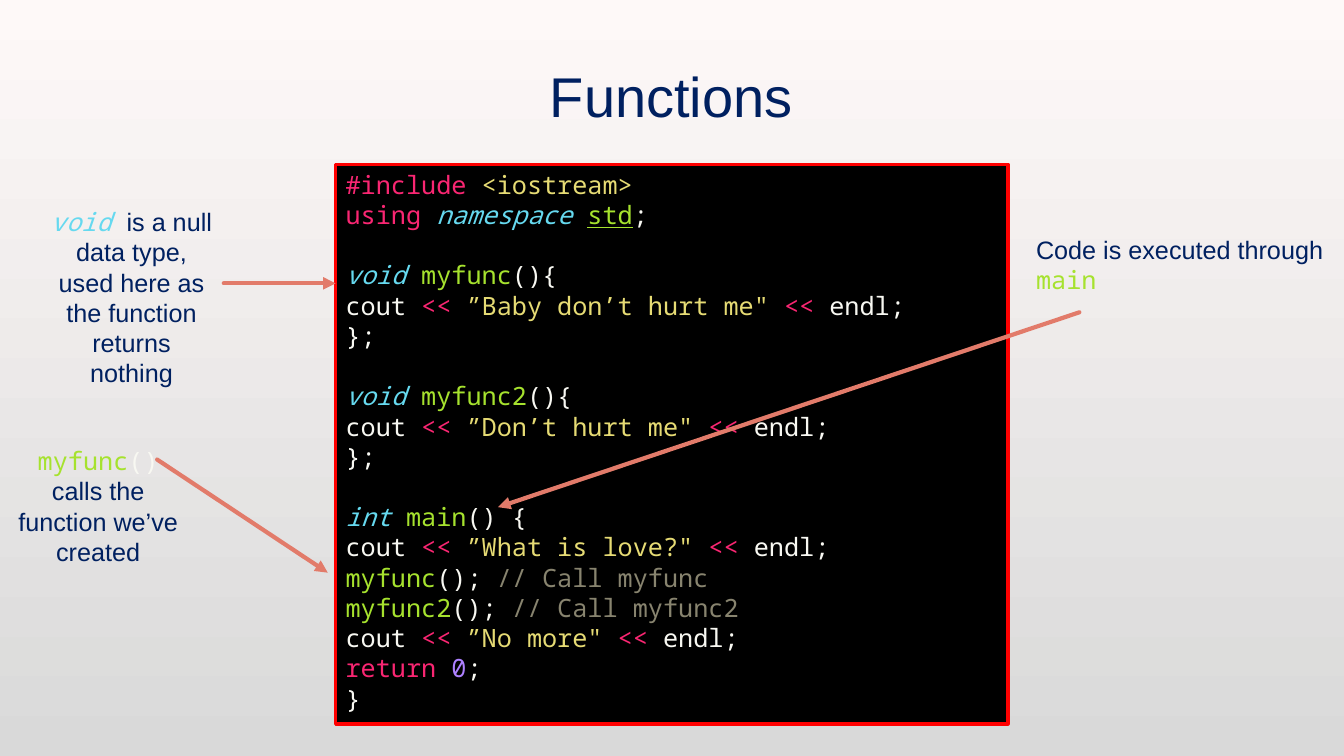
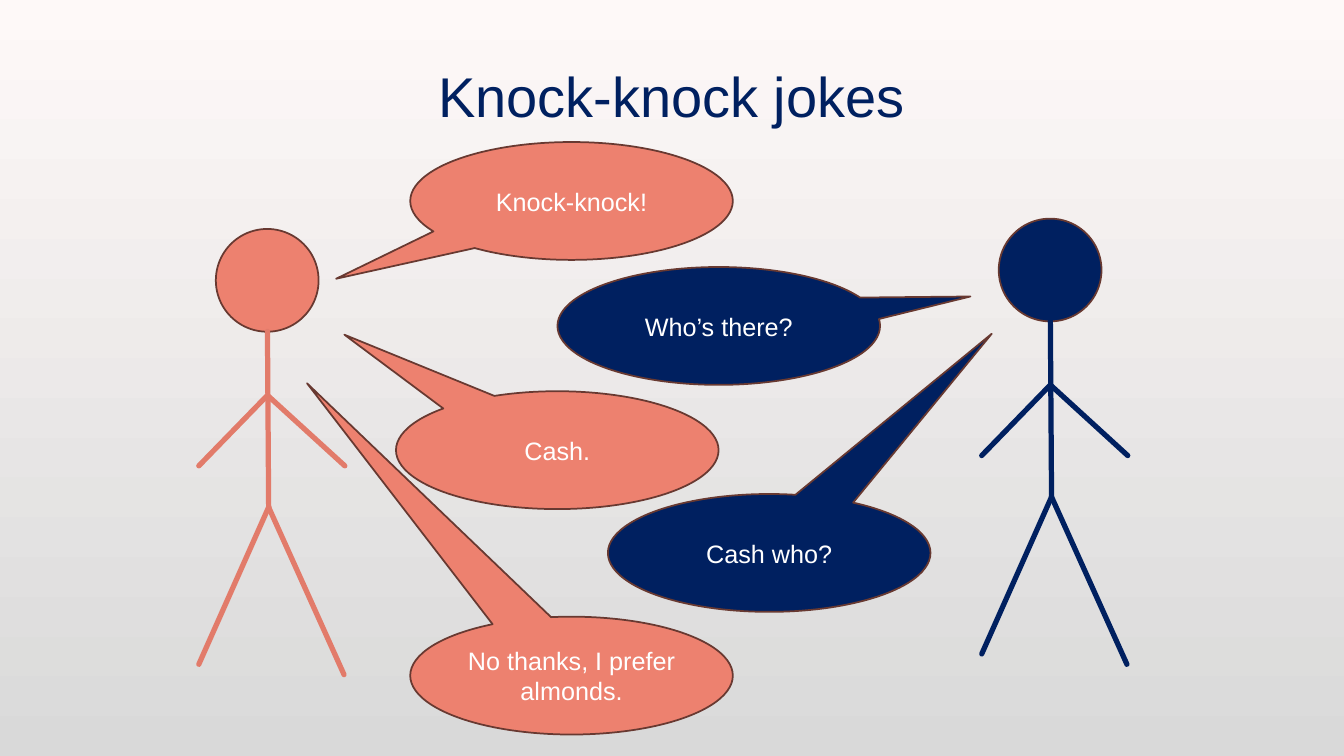
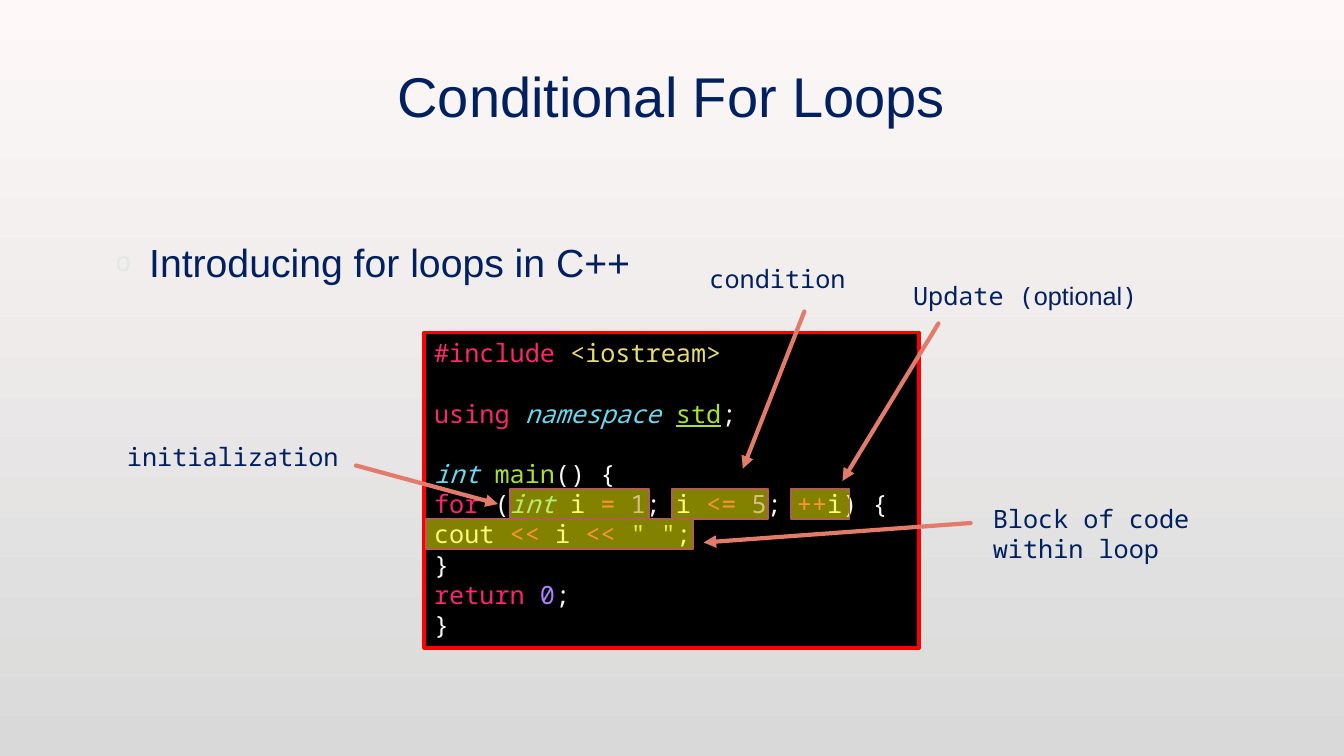
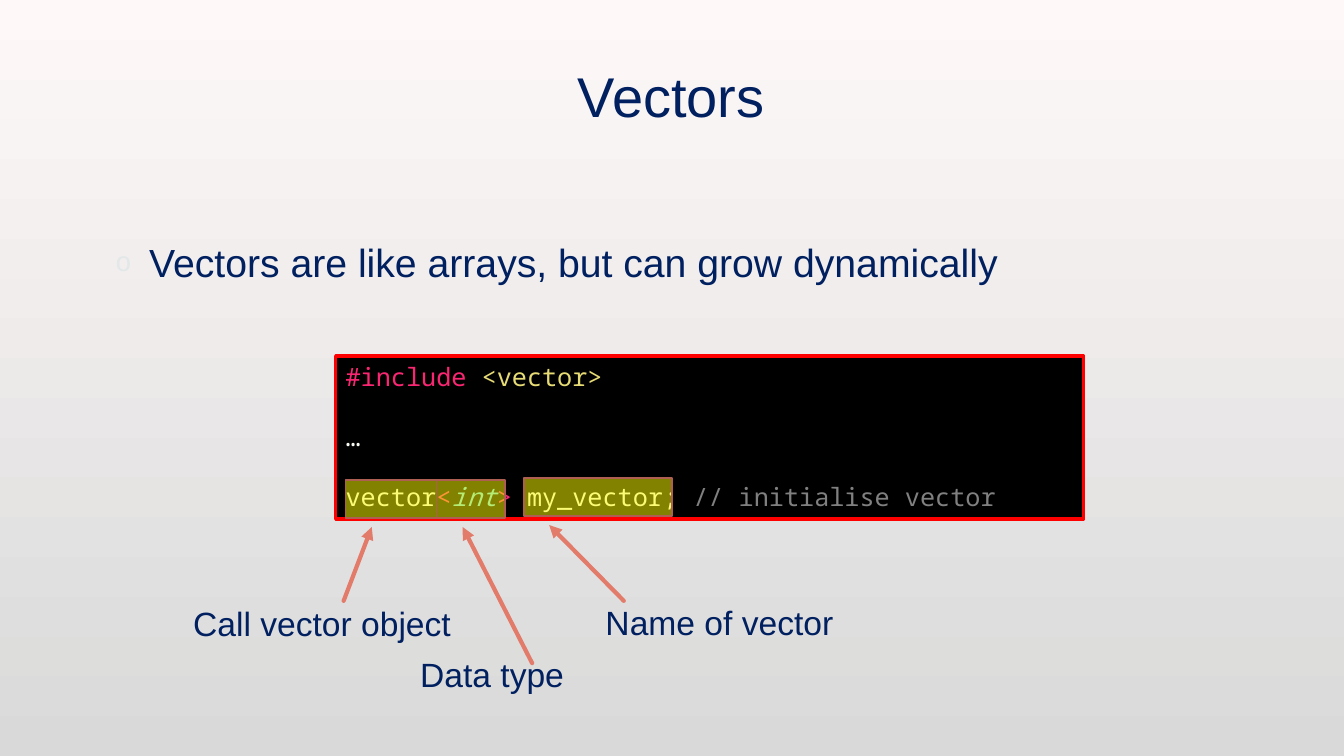
from dataclasses import dataclass
from functools import partial
from typing import NamedTuple, Sequence

from lxml import etree
from pptx import Presentation
from pptx.dml.color import RGBColor
from pptx.enum.shapes import MSO_CONNECTOR, MSO_SHAPE
from pptx.enum.text import MSO_ANCHOR, PP_ALIGN
from pptx.oxml import parse_xml
from pptx.oxml.ns import nsdecls, qn
from pptx.presentation import Presentation as Deck
from pptx.shapes.autoshape import Shape
from pptx.slide import Slide
from pptx.util import Cm, Pt

LEFT, CENTER = PP_ALIGN.LEFT, PP_ALIGN.CENTER
TOP, MIDDLE = MSO_ANCHOR.TOP, MSO_ANCHOR.MIDDLE
RECTANGLE, OVAL = MSO_SHAPE.RECTANGLE, MSO_SHAPE.OVAL
SPEECH_BUBBLE = MSO_SHAPE.OVAL_CALLOUT
STRAIGHT = MSO_CONNECTOR.STRAIGHT

BACKDROP_TOP = RGBColor(0xFE, 0xF9, 0xF8)
BACKDROP_BOTTOM = RGBColor(0xD9, 0xD9, 0xD9)
NAVY = RGBColor(0x00, 0x20, 0x60)
CORAL = RGBColor(0xED, 0x81, 0x6F)
ARROW_CORAL = RGBColor(0xE2, 0x7B, 0x6A)
BROWN = RGBColor(0x68, 0x39, 0x31)
RUST = RGBColor(0xAF, 0x5F, 0x52)
YELLOW = RGBColor(0xFF, 0xFF, 0x00)
RED = RGBColor(0xFF, 0x00, 0x00)
BLACK = RGBColor(0x00, 0x00, 0x00)
WHITE = RGBColor(0xFF, 0xFF, 0xFF)
BULLET_GRAY = RGBColor(0xE2, 0xE7, 0xE8)
CODE_WHITE = RGBColor(0xF8, 0xF8, 0xF2)
CODE_PINK = RGBColor(0xF9, 0x26, 0x72)
CODE_YELLOW = RGBColor(0xE6, 0xDB, 0x74)
CODE_CYAN = RGBColor(0x66, 0xD9, 0xEF)
CODE_GREEN = RGBColor(0xA6, 0xE2, 0x2E)
CODE_PURPLE = RGBColor(0xAE, 0x81, 0xFF)
CODE_OLIVE = RGBColor(0x88, 0x84, 0x6F)
CODE_GRAY = RGBColor(0x80, 0x80, 0x80)

SANS, MONO = "Arial", "Noto Sans Mono"
CODE_LINE_PT = 21.5


@dataclass(frozen=True)
class Run:
    text: str
    color: RGBColor = NAVY
    font: str = SANS
    size: int = 18
    italic: bool = False
    underline: bool = False
    raised: bool = False


class Line(NamedTuple):
    """A paragraph, with one empty line's space above it if gap is set."""
    runs: Sequence[Run]
    gap: bool = False


class Box(NamedTuple):
    """Left, top, width and height in centimetres."""
    x: float
    y: float
    w: float
    h: float


class Stroke(NamedTuple):
    """Start and end points in centimetres."""
    x1: float
    y1: float
    x2: float
    y2: float


class Label(NamedTuple):
    box: Box
    lines: Sequence[Line]
    align: PP_ALIGN = LEFT


class Bubble(NamedTuple):
    x: float
    y: float
    tip_x: float
    tip_y: float
    color: RGBColor
    text: str


class Figure(NamedTuple):
    x: float
    y: float
    head: RGBColor
    limbs: RGBColor


plain = partial(Run, color=CODE_WHITE, font=MONO)
keyword = partial(Run, color=CODE_PINK, font=MONO)
string = partial(Run, color=CODE_YELLOW, font=MONO)
kind = partial(Run, color=CODE_CYAN, font=MONO, italic=True)
name = partial(Run, color=CODE_GREEN, font=MONO)
number = partial(Run, color=CODE_PURPLE, font=MONO)
comment = partial(Run, color=CODE_OLIVE, font=MONO)
mono_note = partial(Run, font=MONO)
raised = partial(Run, raised=True)


def include(library: str) -> Line:
    return Line([keyword("#include "), string(f"<{library}>")])


def using_std(gap: bool = False) -> Line:
    return Line([keyword("using "), kind("namespace "), name("std", underline=True), plain(";")], gap)


def opening(result: str, function: str, tail: str) -> Line:
    """First line of a function definition."""
    return Line([kind(f"{result} "), name(function), plain(tail)], True)


def print_text(quoted: str) -> Line:
    return Line([plain("cout "), keyword("<< "), string(f"{quoted} "), keyword("<< "), plain("endl;")])


def call(function: str) -> Line:
    return Line([name(function), plain("();"), comment(f" // Call {function}")])


def closing(text: str = "}") -> Line:
    return Line([plain(text)])


RETURN_ZERO = Line([keyword("return "), number("0"), plain(";")])

TITLE_BOX = Box(2.54, 0.64, 28.75, 3.51)
BUBBLE_W, BUBBLE_H = 8.13, 2.97
HEAD_SIZE = 2.59
NECK, SHOULDER, HIP = (1.3, 2.58), (1.3, 4.19), (1.33, 7.01)
HANDS = (-0.43, 5.97), (3.25, 5.97)
FEET = (-0.43, 10.97), (3.23, 11.23)
LIMBS = [(NECK, HIP), *((SHOULDER, hand) for hand in HANDS), *((HIP, foot) for foot in FEET)]


def raise_text(properties: etree._Element) -> None:
    """Give a run a faint outline and a soft shadow."""
    properties.insert(0, parse_xml(
        f'<a:ln {nsdecls("a")} w="9525"><a:solidFill><a:srgbClr val="404040">'
        '<a:alpha val="10000"/></a:srgbClr></a:solidFill></a:ln>'))
    properties.find(qn("a:solidFill")).addnext(parse_xml(
        f'<a:effectLst {nsdecls("a")}><a:outerShdw blurRad="38100" dist="38100" dir="2700000">'
        '<a:srgbClr val="000000"><a:alpha val="43000"/></a:srgbClr></a:outerShdw></a:effectLst>'))


def write(shape: Shape, lines: Sequence[Line], align: PP_ALIGN = LEFT,
          anchor: MSO_ANCHOR = TOP) -> None:
    frame = shape.text_frame
    frame.word_wrap = True
    frame.vertical_anchor = anchor
    for index, line in enumerate(lines):
        paragraph = frame.add_paragraph() if index else frame.paragraphs[0]
        paragraph.alignment = align
        if line.gap:
            paragraph.space_before = Pt(CODE_LINE_PT)
        for item in line.runs:
            run = paragraph.add_run()
            run.text = item.text
            font = run.font
            font.name, font.size = item.font, Pt(item.size)
            font.italic, font.underline = item.italic, item.underline
            font.color.rgb = item.color
            if item.raised:
                raise_text(font._element)


def add_text(slide: Slide, box: Box, lines: Sequence[Line], align: PP_ALIGN = LEFT,
             anchor: MSO_ANCHOR = TOP) -> Shape:
    text = slide.shapes.add_textbox(*map(Cm, box))
    write(text, lines, align, anchor)
    return text


def add_filled(slide: Slide, preset: MSO_SHAPE, box: Box, fill: RGBColor,
               outline: RGBColor, width: float = 1.25) -> Shape:
    shape = slide.shapes.add_shape(preset, *map(Cm, box))
    shape.shadow.inherit = False
    shape.fill.solid()
    shape.fill.fore_color.rgb = fill
    shape.line.color.rgb = outline
    shape.line.width = Pt(width)
    return shape


def add_stroke(slide: Slide, stroke: Stroke, color: RGBColor = ARROW_CORAL,
               width: float = 3, arrow: bool = True) -> None:
    connector = slide.shapes.add_connector(STRAIGHT, *map(Cm, stroke))
    connector.line.color.rgb = color
    connector.line.width = Pt(width)
    properties = connector._element.spPr
    outline = properties.find(qn("a:ln"))
    outline.set("cap", "rnd")
    if arrow:
        etree.SubElement(outline, qn("a:tailEnd"), type="triangle")
    etree.SubElement(properties, qn("a:effectLst"))


def add_highlight(slide: Slide, box: Box) -> None:
    """Translucent yellow marker over code."""
    marker = add_filled(slide, RECTANGLE, box, YELLOW, RUST)
    color = marker._element.spPr.find(qn("a:solidFill"))[0]
    etree.SubElement(color, qn("a:alpha"), val="51000")


def add_code(slide: Slide, box: Box, lines: Sequence[Line]) -> None:
    write(add_filled(slide, RECTANGLE, box, BLACK, RED, 2.5), lines)


def add_bullet(slide: Slide, text: str) -> None:
    body = add_text(slide, Box(2.54, 5.89, 28.75, 2.39), [Line([raised(text, size=28)])])
    properties = body.text_frame.paragraphs[0]._p.get_or_add_pPr()
    properties.set("marL", str(Cm(0.97)))
    properties.set("indent", str(Cm(-0.84)))
    color = etree.SubElement(properties, qn("a:buClr"))
    etree.SubElement(color, qn("a:srgbClr"), val=str(BULLET_GRAY))
    etree.SubElement(properties, qn("a:buSzPct"), val="70000")
    etree.SubElement(properties, qn("a:buFont"), typeface=SANS)
    etree.SubElement(properties, qn("a:buChar"), char="o")


def add_notes_on_code(slide: Slide, labels: Sequence[Label], arrows: Sequence[Stroke],
                      highlights: Sequence[Box] = ()) -> None:
    for box in highlights:
        add_highlight(slide, box)
    for label in labels:
        add_text(slide, *label)
    for arrow in arrows:
        add_stroke(slide, arrow)


def add_figure(slide: Slide, figure: Figure) -> None:
    add_filled(slide, OVAL, Box(figure.x, figure.y, HEAD_SIZE, HEAD_SIZE), figure.head, BROWN)
    for (x1, y1), (x2, y2) in LIMBS:
        limb = Stroke(figure.x + x1, figure.y + y1, figure.x + x2, figure.y + y2)
        add_stroke(slide, limb, figure.limbs, 3.75, arrow=False)


def add_bubble(slide: Slide, bubble: Bubble) -> None:
    shape = add_filled(slide, SPEECH_BUBBLE, Box(bubble.x, bubble.y, BUBBLE_W, BUBBLE_H),
                       bubble.color, BROWN)
    shape.adjustments[0], shape.adjustments[1] = bubble.tip_x, bubble.tip_y
    write(shape, [Line([Run(bubble.text, WHITE)])], CENTER, MIDDLE)


def add_titled_slide(deck: Deck, title: str) -> Slide:
    slide = deck.slides.add_slide(deck.slide_layouts[6])
    add_text(slide, TITLE_BOX, [Line([raised(title, size=40)])], CENTER, MIDDLE)
    return slide


def set_backdrop(deck: Deck) -> None:
    fill = deck.slide_master.background.fill
    fill.gradient()
    fill.gradient_angle = 270
    for stop, color in zip(fill.gradient_stops, (BACKDROP_TOP, BACKDROP_BOTTOM)):
        stop.color.rgb = color


def build_functions(deck: Deck) -> None:
    slide = add_titled_slide(deck, "Functions")
    add_code(slide, Box(8.46, 4.14, 16.94, 14.1), [
        include("iostream"),
        using_std(),
        opening("void", "myfunc", "(){"),
        print_text('”Baby don’t hurt me"'),
        closing("};"),
        opening("void", "myfunc2", "(){"),
        print_text('”Don’t hurt me"'),
        closing("};"),
        opening("int", "main", "() {"),
        print_text('”What is love?"'),
        call("myfunc"),
        call("myfunc2"),
        print_text('”No more"'),
        RETURN_ZERO,
        closing(),
    ])
    void_note = Line([kind("void "),
                      Run("is a null data type, used here as the function returns nothing")])
    call_note = Line([name("myfunc"), plain("() "), Run("calls the function we’ve created")])
    main_note = [Line([Run("Code is executed through")]), Line([name("main")])]
    add_notes_on_code(
        slide,
        [Label(Box(0.99, 5.08, 4.65, 4.11), [void_note], CENTER),
         Label(Box(0.15, 11.1, 4.65, 3.33), [call_note], CENTER),
         Label(Box(25.86, 5.77, 8.01, 1.8), main_note)],
        [Stroke(5.64, 7.14, 8.46, 7.14),
         Stroke(3.96, 11.58, 8.26, 14.43),
         Stroke(27.2, 7.87, 12.55, 12.78)])


def build_jokes(deck: Deck) -> None:
    slide = add_titled_slide(deck, "Knock-knock jokes")
    for figure in (Figure(5.44, 5.77, CORAL, ARROW_CORAL), Figure(25.17, 5.51, NAVY, NAVY)):
        add_figure(slide, figure)
    for bubble in (
        Bubble(10.34, 3.58, -0.73, 0.66, CORAL, "Knock-knock!"),
        Bubble(14.05, 6.73, 0.78, -0.25, NAVY, "Who’s there?"),
        Bubble(9.98, 9.86, -0.66, -0.98, CORAL, "Cash."),
        Bubble(15.32, 12.45, 0.69, -1.86, NAVY, "Cash who?"),
        Bubble(10.34, 15.54, -0.82, -2.48, CORAL, "No thanks, I prefer almonds."),
    ):
        add_bubble(slide, bubble)


def build_loops(deck: Deck) -> None:
    slide = add_titled_slide(deck, "Conditional For Loops")
    add_bullet(slide, "Introducing for loops in C++")
    add_code(slide, Box(10.69, 8.38, 12.47, 7.95), [
        include("iostream"),
        using_std(gap=True),
        opening("int", "main", "() {"),
        Line([keyword("for"), plain(" ("), kind("int "), plain("i "), keyword("= "), number("1"),
              plain("; i "), keyword("<= "), number("5"), plain("; "), keyword("++"),
              plain("i) {")]),
        Line([plain("cout "), keyword("<< "), plain("i "), keyword("<< "), string('" "'),
              plain(";")]),
        closing(),
        RETURN_ZERO,
        closing(),
    ])
    update = Line([mono_note("Update ("), Run("optional"), mono_note(")")])
    add_notes_on_code(
        slide,
        [Label(Box(2.95, 11, 6.07, 1.02), [Line([mono_note("initialization")])]),
         Label(Box(17.63, 6.5, 4.19, 1.02), [Line([mono_note("condition")])]),
         Label(Box(22.76, 6.93, 6.73, 1.02), [update]),
         Label(Box(24.77, 12.55, 6.45, 1.8), [Line([mono_note("Block of code within loop")])])],
        [Stroke(8.97, 11.73, 12.55, 12.7),
         Stroke(20.27, 7.85, 18.72, 11.81),
         Stroke(23.65, 8.15, 21.23, 12.12),
         Stroke(24.46, 13.18, 17.73, 13.67)],
        [Box(12.85, 12.32, 3.51, 0.76),
         Box(16.94, 12.32, 2.41, 0.76),
         Box(19.94, 12.32, 1.47, 0.76),
         Box(10.74, 13.08, 6.73, 0.76)])


def build_vectors(deck: Deck) -> None:
    slide = add_titled_slide(deck, "Vectors")
    add_bullet(slide, "Vectors are like arrays, but can grow dynamically")
    add_code(slide, Box(8.46, 8.97, 18.85, 4.11), [
        include("vector"),
        Line([plain("…")], True),
        Line([plain("vector"), keyword("<"), kind("int"), keyword("> "), plain("my_vector; "),
              comment("// initialise vector", color=CODE_GRAY)], True),
    ])
    add_notes_on_code(
        slide,
        [Label(Box(4.62, 15.06, 8.1, 1.27), [Line([Run("Call vector object", size=24)])]),
         Label(Box(10.34, 16.36, 8.1, 1.27), [Line([Run("Data type", size=24)])]),
         Label(Box(15.01, 15.04, 7.29, 1.27), [Line([Run("Name of vector", size=24)])])],
        [Stroke(8.66, 15.14, 9.37, 13.28),
         Stroke(13.41, 16.71, 11.66, 13.28),
         Stroke(15.72, 15.14, 13.84, 13.23)],
        [Box(8.71, 12.09, 2.29, 0.97),
         Box(11, 12.09, 1.73, 0.97),
         Box(13.21, 12.04, 3.73, 0.97)])


def main() -> None:
    deck = Presentation()
    deck.slide_width, deck.slide_height = Cm(33.87), Cm(19.05)
    set_backdrop(deck)
    for build in (build_functions, build_jokes, build_loops, build_vectors):
        build(deck)
    deck.save("out.pptx")


if __name__ == "__main__":
    main()
